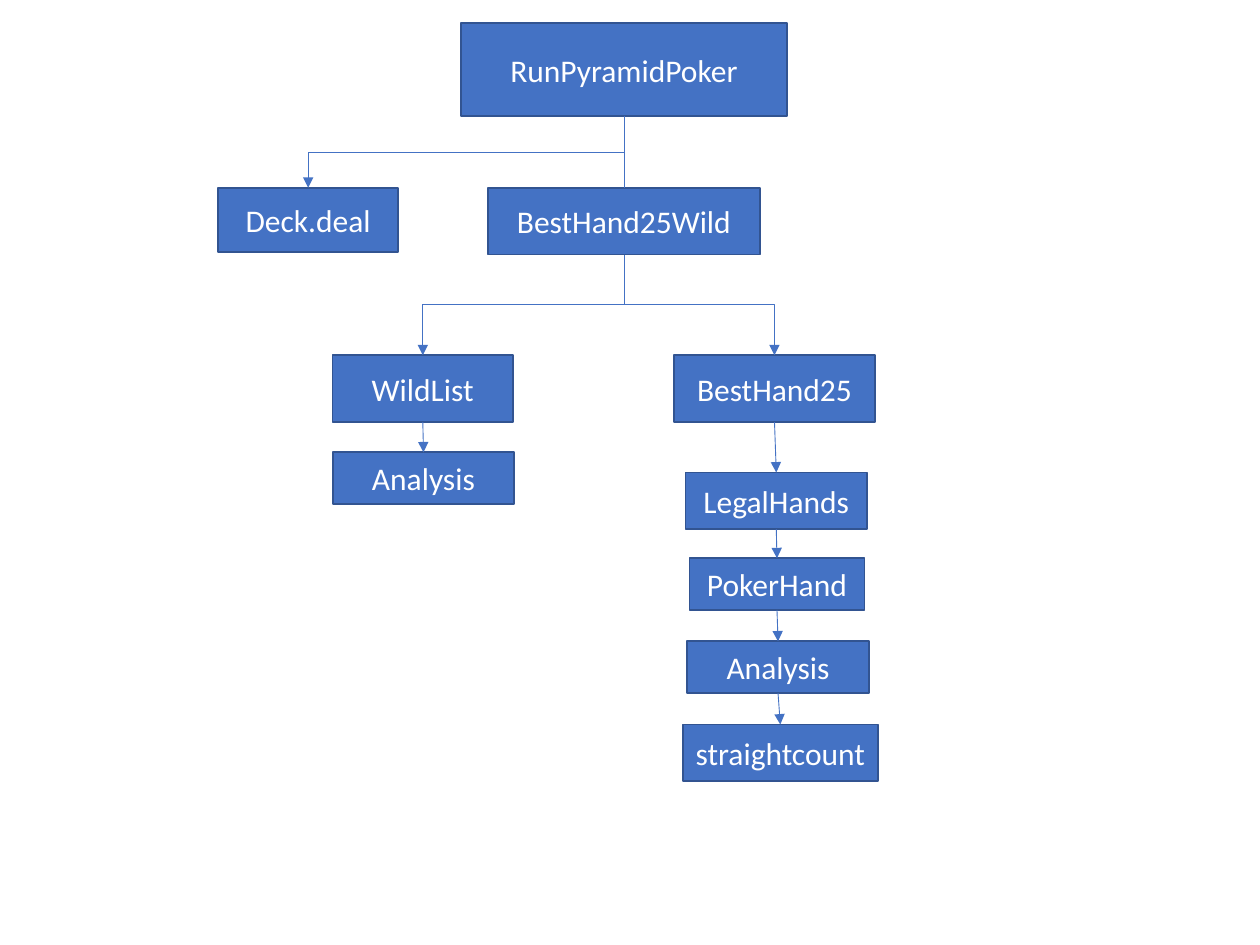
from pptx import Presentation
from pptx.dml.color import RGBColor
from pptx.enum.shapes import MSO_CONNECTOR, MSO_SHAPE
from pptx.enum.text import MSO_ANCHOR, PP_ALIGN
from pptx.oxml.ns import qn
from pptx.util import Pt
from lxml.etree import SubElement

FILL, EDGE, WHITE = "4472C4", "325491", "FFFFFF"
BOTTOM, TOP = 2, 0  # connection sites of a rectangle

# key, label, parent, centre x, top, width, height
NODES = [
    ("run", "RunPyramidPoker", None, 232, 0, 186, 53.5),
    ("wild", "BestHand25Wild", "run", 232, 94.3, 155.5, 38.2),
    ("deal", "Deck.deal", "run", 51.5, 94.3, 103, 36.7),
    ("list", "WildList", "wild", 117, 190, 103, 38.2),
    ("check", "Analysis", "list", 117.4, 245.5, 103.7, 29.5),
    ("best", "BestHand25", "wild", 318, 190, 114.5, 38.2),
    ("legal", "LegalHands", "best", 319, 257, 103.7, 32.4),
    ("hand", "PokerHand", "legal", 319.4, 306, 100, 29.5),
    ("score", "Analysis", "hand", 320, 353.5, 103.7, 29.5),
    ("count", "straightcount", "score", 321.3, 401, 111.6, 32.4),
]
PLAIN = {"wild"}  # reached by a line without an arrowhead


def paint(target, color):
    """Give a fill or font a solid colour from a hex string."""
    target.rgb = RGBColor.from_string(color)


def add_box(slide, text, left, top, width, height):
    """Draw one labelled rectangle."""
    box = slide.shapes.add_shape(
        MSO_SHAPE.RECTANGLE, Pt(left), Pt(top), Pt(width), Pt(height))
    box.shadow.inherit = False
    box.fill.solid()
    paint(box.fill.fore_color, FILL)
    paint(box.line.color, EDGE)
    box.line.width = Pt(1)
    frame = box.text_frame
    frame.word_wrap = True
    frame.vertical_anchor = MSO_ANCHOR.MIDDLE
    para = frame.paragraphs[0]
    para.text = text
    para.alignment = PP_ALIGN.CENTER
    para.font.name = "Calibri"
    para.font.size = Pt(18)
    paint(para.font.color, WHITE)
    return box


def turn(link):
    """Rotate an elbow so that it leaves and enters vertically."""
    wide, high = link.width, link.height
    right = link.end_x > link.begin_x
    link.left += (wide - high) // 2
    link.top += (high - wide) // 2
    link.width, link.height = high, wide
    frame = link.element.spPr.xfrm
    frame.flipH = right
    frame.rot = 270 if right else 90


def add_link(slide, start, end, arrow):
    """Join the bottom of one box to the top of another."""
    gap = abs(start.left + start.width // 2 - end.left - end.width // 2)
    bent = gap > Pt(5)
    kind = MSO_CONNECTOR.ELBOW if bent else MSO_CONNECTOR.STRAIGHT
    link = slide.shapes.add_connector(kind, 0, 0, 0, 0)
    link.begin_connect(start, BOTTOM)
    link.end_connect(end, TOP)
    if bent:
        turn(link)
    paint(link.line.color, FILL)
    link.line.width = Pt(0.5)
    if arrow:
        SubElement(link.line._get_or_add_ln(), qn("a:tailEnd"), type="triangle")
    SubElement(link.element.spPr, qn("a:effectLst"))


def add_tree(slide, left, top):
    """Draw the call tree with its top left corner at the given point."""
    boxes = {}
    for key, text, parent, mid, drop, width, height in NODES:
        boxes[key] = add_box(
            slide, text, left + mid - width / 2, top + drop, width, height)
        if parent:
            add_link(slide, boxes[parent], boxes[key], key not in PLAIN)


def main():
    """Build and save the slide."""
    deck = Presentation()
    deck.slide_width, deck.slide_height = Pt(720), Pt(540)
    slide = deck.slides.add_slide(deck.slide_layouts[6])
    add_tree(slide, 124.6, 13)
    deck.save("out.pptx")


main()
